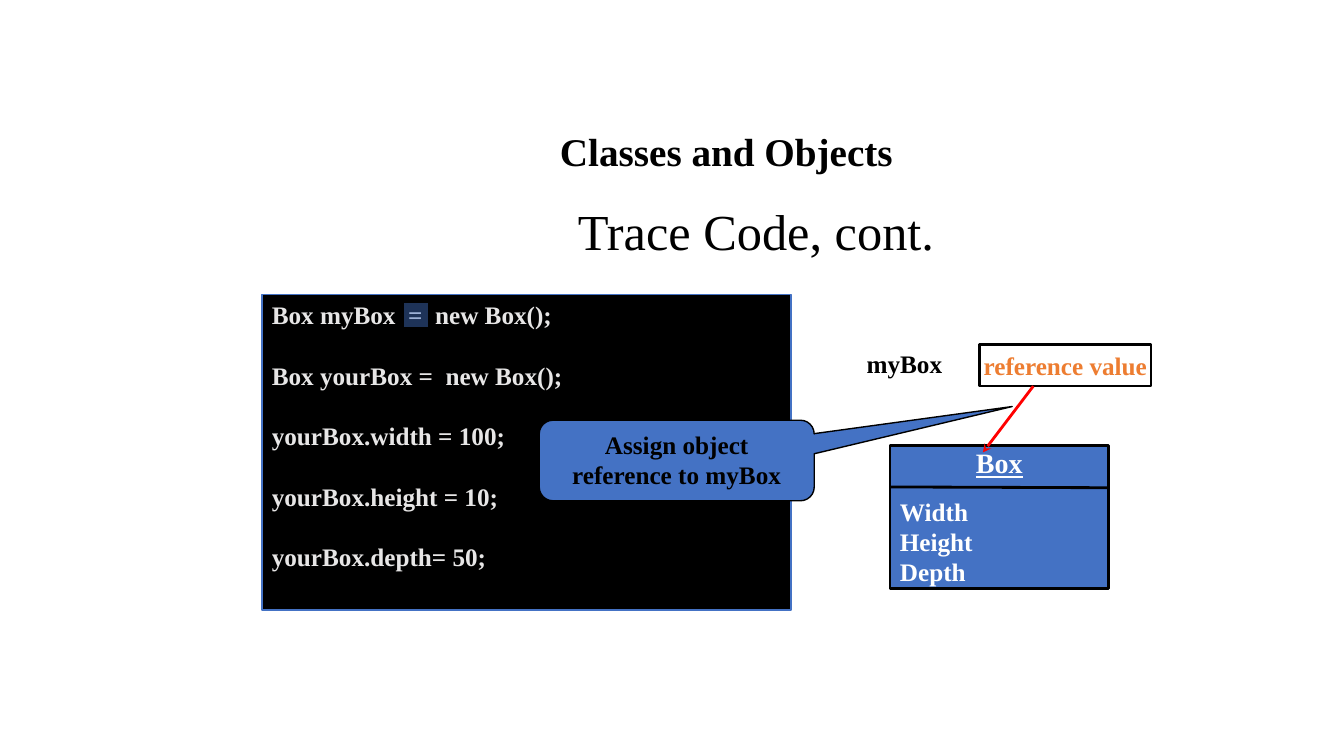
from lxml.etree import SubElement
from pptx import Presentation
from pptx.dml.color import RGBColor
from pptx.enum.shapes import MSO_CONNECTOR as Connector, MSO_SHAPE as Shape
from pptx.enum.text import MSO_ANCHOR as Anchor, PP_ALIGN as Align
from pptx.oxml.ns import qn
from pptx.util import Cm, Pt

FONT = "Times New Roman"
COLOURS = {
    "black": "000000",
    "white": "FFFFFF",
    "grey": "E7E6E6",
    "blue": "4472C4",
    "orange": "ED7D31",
    "red": "FF0000",
}
CODE = [
    "Box myBox  =  new Box();",
    "Box yourBox =  new Box();",
    "yourBox.width = 100;",
    "yourBox.height = 10;",
    "yourBox.depth= 50;",
]
FIELDS = ["Width", "Height", "Depth"]


def colour(name):
    return RGBColor.from_string(COLOURS[name])


def set_frame(box, side=0.25, top=0.13, anchor=Anchor.TOP):
    frame = box.text_frame
    frame.word_wrap = True
    frame.vertical_anchor = anchor
    frame.margin_left = frame.margin_right = Cm(side)
    frame.margin_top = frame.margin_bottom = Cm(top)


def write(box, text, size, ink, bold=True, underline=False,
          align=Align.LEFT, before=0, spacing=1.0):
    frame = box.text_frame
    first = frame.paragraphs[0]
    para = frame.add_paragraph() if first.runs else first
    para.alignment = align
    para.line_spacing = spacing
    if before:
        para.space_before = Pt(before)
    span = para.add_run()
    span.text = text
    span.font.name = FONT
    span.font.size = Pt(size)
    span.font.bold = bold
    span.font.underline = underline
    span.font.color.rgb = colour(ink)


def add_label(page, left, top, width, height):
    box = page.shapes.add_textbox(Cm(left), Cm(top), Cm(width), Cm(height))
    set_frame(box)
    return box


def add_block(page, kind, left, top, width, height, fill, line, weight):
    box = page.shapes.add_shape(kind, Cm(left), Cm(top), Cm(width), Cm(height))
    box.shadow.inherit = False
    if fill:
        box.fill.solid()
        box.fill.fore_color.rgb = colour(fill)
    else:
        box.fill.background()
    box.line.color.rgb = colour(line)
    box.line.width = Pt(weight)
    set_frame(box)
    return box


def set_opacity(box, percent):
    tint = box.fill._xPr.find(qn("a:solidFill"))[0]
    SubElement(tint, qn("a:alpha"), val=str(percent * 1000))


def add_line(page, start_x, start_y, end_x, end_y, ink, arrow=False):
    line = page.shapes.add_connector(
        Connector.STRAIGHT, Cm(start_x), Cm(start_y), Cm(end_x), Cm(end_y))
    line.line.color.rgb = colour(ink)
    line.line.width = Pt(2)
    if arrow:
        SubElement(line.line._get_or_add_ln(), qn("a:tailEnd"), type="stealth")
    SubElement(line._element.spPr, qn("a:effectLst"))


def add_headings(page):
    heading = add_label(page, 8.46, 2.97, 19.69, 1.47)
    write(heading, "Classes and Objects", 28, "black",
          align=Align.CENTER, spacing=1.1)
    title = add_label(page, 8.26, 5.08, 21.59, 1.47)
    write(title, "Trace Code, cont.", 36, "black", bold=False,
          align=Align.CENTER, spacing=0.9)


def add_object_diagram(page):
    reference = add_block(page, Shape.RECTANGLE, 24.69, 8.69, 4.32, 1.04,
                          None, "black", 2)
    set_frame(reference, 0.03, 0.03, Anchor.MIDDLE)
    write(reference, "reference value", 18, "orange", align=Align.CENTER)

    variable = add_label(page, 21.59, 8.64, 3.15, 1.02)
    write(variable, "myBox", 18, "black")

    instance = add_block(page, Shape.RECTANGLE, 22.43, 11.23, 5.51, 3.61,
                         "blue", "black", 2)
    set_frame(instance, top=0)
    write(instance, "Box", 20, "white", underline=True, align=Align.CENTER)
    for index, field in enumerate(FIELDS):
        write(instance, field, 18, "white", before=0 if index else 12)


def add_code(page):
    listing = add_block(page, Shape.RECTANGLE, 6.6, 7.42, 13.34, 7.95,
                        "black", "blue", 1)
    for index, statement in enumerate(CODE):
        write(listing, statement, 18, "grey", before=21.6 if index else 0)


def add_callout(page):
    callout = add_block(page, Shape.ROUNDED_RECTANGULAR_CALLOUT,
                        13.59, 10.59, 6.93, 2.03, "blue", "black", 1)
    for index, value in enumerate((1.22, -0.67, 0.17)):
        callout.adjustments[index] = value
    write(callout, "Assign object reference to myBox", 18, "black",
          align=Align.CENTER)


def main():
    deck = Presentation()
    deck.slide_width, deck.slide_height = Cm(33.87), Cm(19.05)
    page = deck.slides.add_slide(deck.slide_layouts[6])
    add_headings(page)
    add_object_diagram(page)
    add_code(page)
    add_callout(page)
    highlight = add_block(page, Shape.RECTANGLE, 10.16, 7.62, 0.64, 0.64,
                          "blue", "black", 1)
    set_opacity(highlight, 45)
    add_line(page, 26.04, 9.73, 24.77, 11.4, "red", arrow=True)
    add_line(page, 22.43, 12.27, 27.94, 12.29, "black")
    deck.save("out.pptx")


if __name__ == "__main__":
    main()
